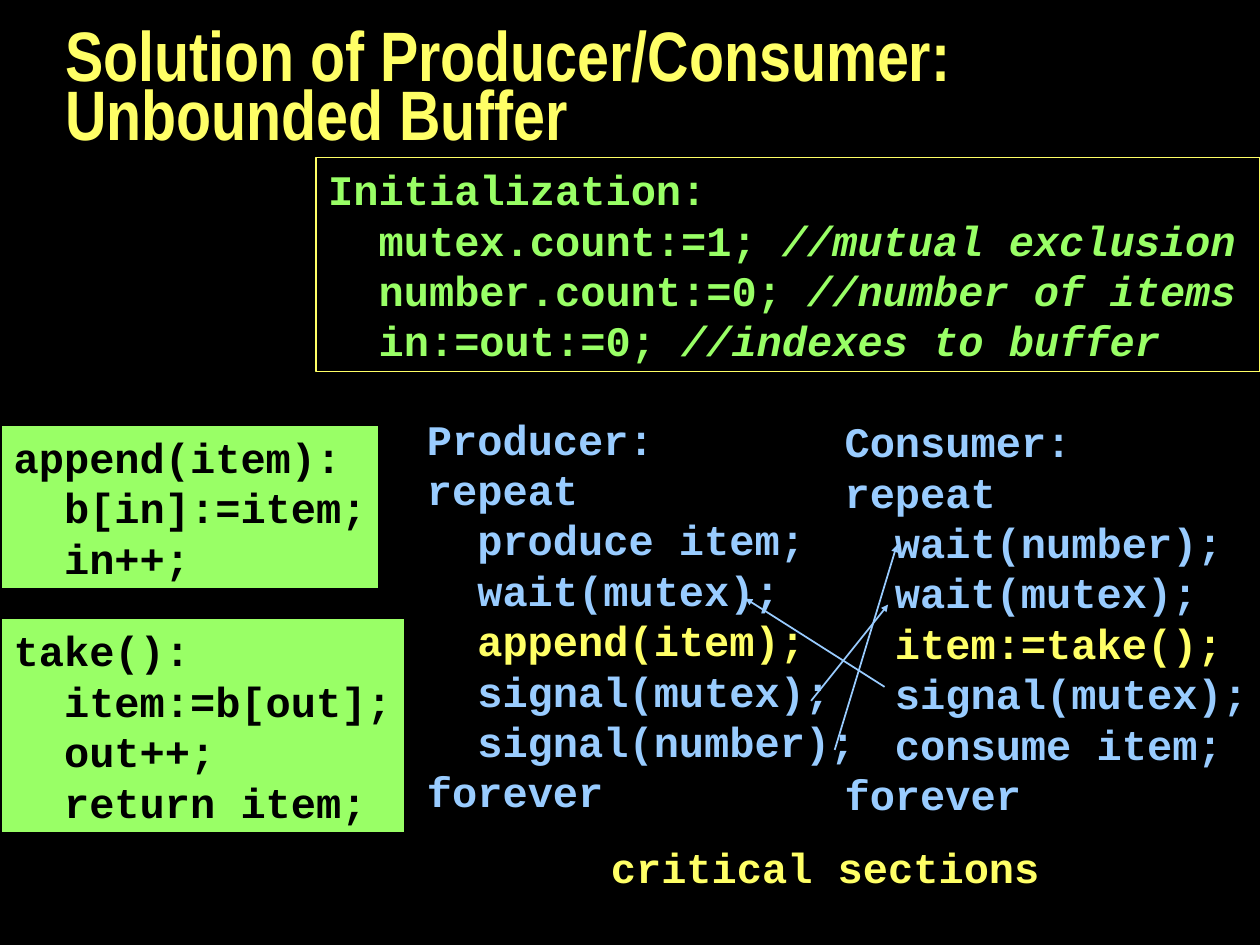
"""Build the slide on the unbounded-buffer producer/consumer solution."""
from lxml import etree
from pptx import Presentation
from pptx import util as u
from pptx.dml.color import RGBColor
from pptx.enum import shapes, text
from pptx.oxml import ns

BLACK = RGBColor(0x00, 0x00, 0x00)
YELLOW = RGBColor(0xFF, 0xFF, 0x66)
GREEN = RGBColor(0x99, 0xFF, 0x66)
BLUE = RGBColor(0x99, 0xCC, 0xFF)

TITLE = "Solution of Producer/Consumer: Unbounded Buffer"
TITLE_BOX = (30.25, 18, 672, 70.5)
CODE_SIZE = 24
INDENT = 28.8

INITIALIZATION = [
    (0, "Initialization:"),
    (1, "mutex.count:=1; //mutual exclusion"),
    (1, "number.count:=0; //number of items"),
    (1, "in:=out:=0; //indexes to buffer"),
]
PRODUCER = [
    (0, "Producer:"),
    (0, "repeat"),
    (1, "produce item;"),
    (1, "wait(mutex);"),
    (1, "append(item);"),
    (1, "signal(mutex);"),
    (1, "signal(number);"),
    (0, "forever"),
]
CONSUMER = [
    (0, "Consumer:"),
    (0, "repeat"),
    (1, "wait(number);"),
    (1, "wait(mutex);"),
    (1, "item:=take();"),
    (1, "signal(mutex);"),
    (1, "consume item;"),
    (0, "forever"),
]
APPEND = [(0, "append(item):"), (1, "b[in]:=item;"), (1, "in++;")]
TAKE = [(0, "take():"), (1, "item:=b[out];"), (1, "out++;"), (1, "return item;")]
CRITICAL = [(0, "critical sections")]
CRITICAL_CALLS = {"append(item);", "item:=take();"}

CODE_BOXES = [
    {"lines": PRODUCER, "box": (236.9, 232.5, 259.2, 237.6), "color": BLUE},
    {"lines": CONSUMER, "box": (475.5, 234, 244.5, 237.6), "color": BLUE,
     "wrap": True},
    {"lines": INITIALIZATION, "box": (180.5, 90, 539.5, 122.4), "color": GREEN,
     "line": YELLOW, "wrap": True},
    {"lines": CRITICAL, "box": (342, 477.4, 259.2, 36), "color": YELLOW},
    {"lines": APPEND, "box": (0.75, 242.9, 216, 93.6), "color": BLACK,
     "line": BLACK, "fill": GREEN},
    {"lines": TAKE, "box": (0.75, 353.5, 230.4, 122.4), "color": BLACK,
     "line": BLACK, "fill": GREEN},
]
ARROWS = [
    ((463.5, 400.5), (507.5, 345.5)),
    ((477, 428.5), (512.5, 311.5)),
    ((505.5, 392.5), (426, 342)),
]


def format_run(run, font_name, size, color):
    run.font.name = font_name
    run.font.size = u.Pt(size)
    run.font.bold = True
    run.font.color.rgb = color


def add_title(slide):
    shape = slide.shapes.add_textbox(*map(u.Pt, TITLE_BOX))
    frame = shape.text_frame
    frame.text = TITLE
    frame.word_wrap = True
    frame.vertical_anchor = text.MSO_ANCHOR.MIDDLE
    paragraph = frame.paragraphs[0]
    paragraph.line_spacing = 0.7
    format_run(paragraph.runs[0], "Arial Narrow", 40, YELLOW)


def add_code_line(paragraph, level, line, color):
    code, slashes, comment = line.partition("//")
    paragraph.text = code
    paragraph.alignment = text.PP_ALIGN.LEFT
    if level:
        properties = paragraph._p.get_or_add_pPr()
        properties.set("marL", str(u.Pt(level * INDENT)))
        properties.set("indent", "0")
    if comment:
        run = paragraph.add_run()
        run.text = slashes + comment
        run.font.italic = True
    for run in paragraph.runs:
        format_run(run, "Courier New", CODE_SIZE,
                   YELLOW if line in CRITICAL_CALLS else color)


def add_code(slide, lines, box, color, line=None, fill=None, wrap=False):
    place = [u.Pt(length) for length in box]
    if line is None:
        shape = slide.shapes.add_textbox(*place)
    else:
        shape = slide.shapes.add_shape(shapes.MSO_SHAPE.RECTANGLE, *place)
        shape.shadow.inherit = False
        shape.line.color.rgb = line
        shape.line.width = u.Pt(1)
        if fill is None:
            shape.fill.background()
        else:
            shape.fill.solid()
            shape.fill.fore_color.rgb = fill
    frame = shape.text_frame
    frame.text = "\n".join(content for _, content in lines)
    frame.word_wrap = wrap
    if wrap:
        frame.margin_right = u.Pt(0)
    frame.auto_size = text.MSO_AUTO_SIZE.SHAPE_TO_FIT_TEXT
    frame.vertical_anchor = text.MSO_ANCHOR.TOP
    for paragraph, (level, content) in zip(frame.paragraphs, lines):
        add_code_line(paragraph, level, content, color)


def add_arrow(slide, start, end):
    connector = slide.shapes.add_connector(
        shapes.MSO_CONNECTOR.STRAIGHT, *map(u.Pt, start + end))
    connector.line.color.rgb = BLUE
    connector.line.width = u.Pt(1)
    etree.SubElement(connector.line._get_or_add_ln(), ns.qn("a:tailEnd"),
                     type="triangle", w="sm", len="sm")
    etree.SubElement(connector._element.spPr, ns.qn("a:effectLst"))


def main():
    presentation = Presentation()
    presentation.slide_width = u.Pt(720)
    presentation.slide_height = u.Pt(540)
    slide = presentation.slides.add_slide(presentation.slide_layouts[6])
    slide.background.fill.solid()
    slide.background.fill.fore_color.rgb = BLACK
    add_title(slide)
    for code_box in CODE_BOXES:
        add_code(slide, **code_box)
    for start, end in ARROWS:
        add_arrow(slide, start, end)
    presentation.save("out.pptx")


if __name__ == "__main__":
    main()
